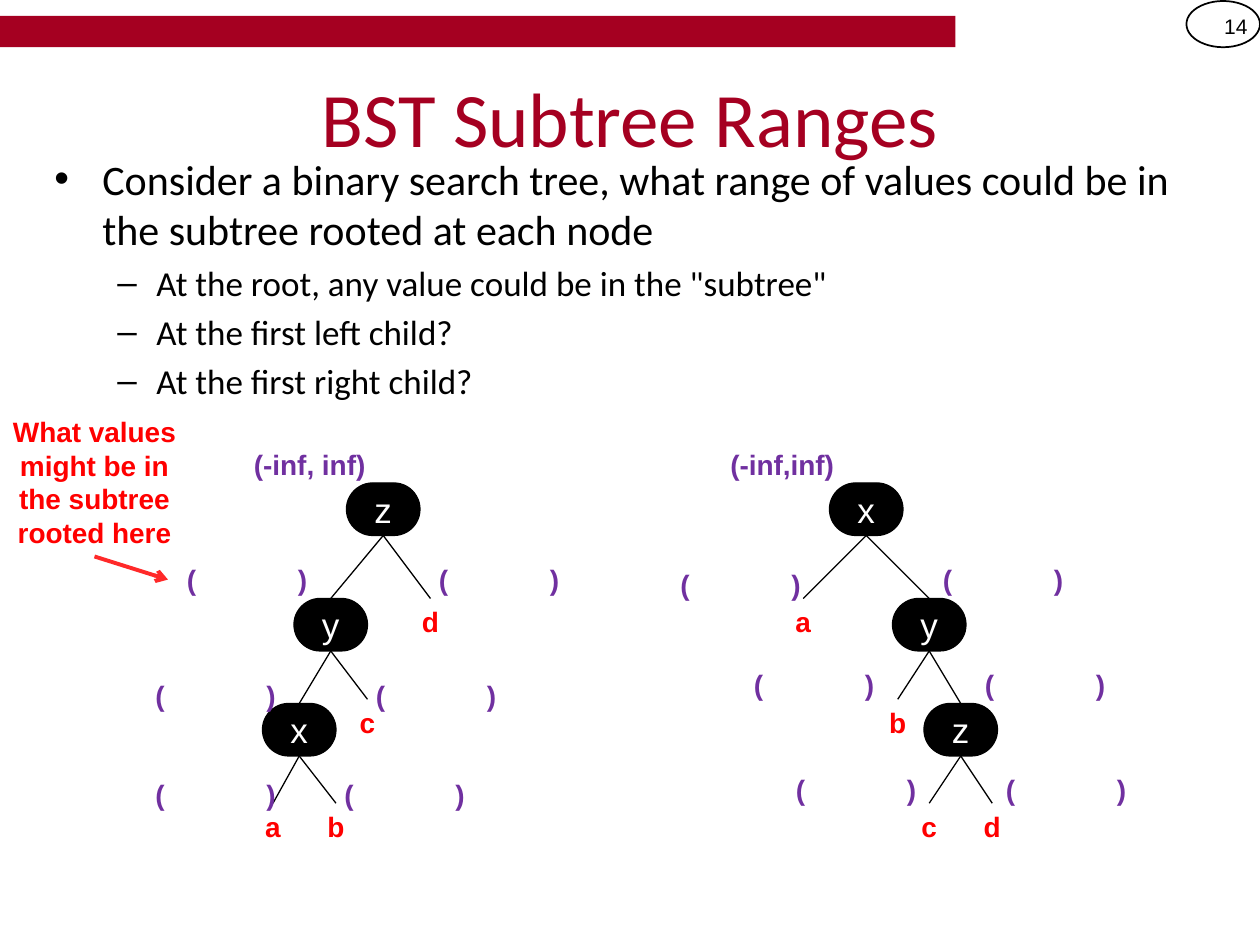
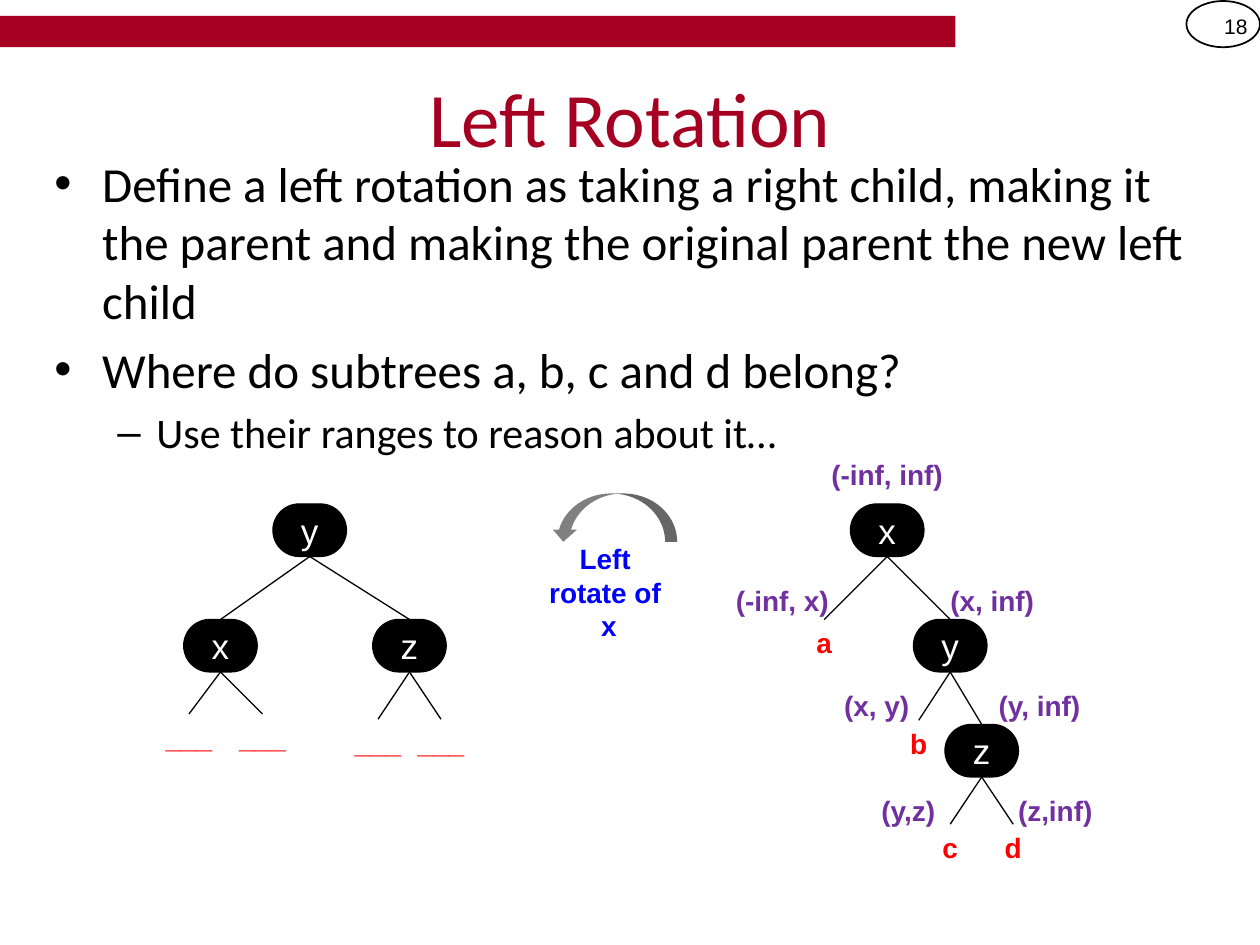
from pptx import Presentation
from pptx import util as u
from pptx.dml.color import RGBColor
from pptx.enum import shapes, text
from pptx.oxml.ns import qn
from lxml import etree

CRIMSON = RGBColor(0xA5, 0x00, 0x21)
BLACK = RGBColor(0, 0, 0)
WHITE = RGBColor(255, 255, 255)
RED = RGBColor(255, 0, 0)
ARROW_RED = RGBColor(0xFF, 0x29, 0x29)
BLUE = RGBColor(0, 0, 255)
PURPLE = RGBColor(0x70, 0x30, 0xA0)
GRAY = RGBColor(0x80, 0x80, 0x80)

# The slide is a grid of 120 columns by 90 rows
COLS, ROWS = 120, 90
SLIDE_W, SLIDE_H = u.Inches(10), u.Inches(7.5)
CELL = SLIDE_W // COLS
NODE_W, NODE_H = 7, 5
RANGE_W, LEAF_W, LABEL_H = 15, 7, 4.4
BLANK = "(\t)"

SHAPE = shapes.MSO_SHAPE
CENTER, RIGHT = text.PP_ALIGN.CENTER, text.PP_ALIGN.RIGHT
LABEL = dict(name="Arial", size=u.Pt(16), bold=True)
BULLETS = {0: ("•", 0.38, -0.38), 1: ("–", 0.81, -0.31)}

# Trees: nodes give (parent, centre column, top row), leaves (parent, centre column, top row)
LEFT_CHAIN = dict(
    nodes={"z": (None, 23.5, 4), "y": ("z", 18.5, 15), "x": ("y", 15.5, 25)},
    leaves=[("z", 28, 15), ("y", 22, 24.6), ("x", 13, 34.5), ("x", 19, 34.5)])
RIGHT_CHAIN = dict(
    nodes={"x": (None, 19.5, 4), "y": ("x", 25.5, 15), "z": ("y", 28.5, 25)},
    leaves=[("x", 13.5, 15), ("y", 22.5, 24.6), ("z", 25.5, 34.5), ("z", 31.5, 34.5)])
BALANCED = dict(
    nodes={"y": (None, 15.5, 4), "x": ("y", 7, 15), "z": ("y", 25, 15)},
    leaves=[("x", 4, 24), ("x", 11, 24), ("z", 22, 24.5), ("z", 28, 24.5)])


def cells(*values):
    return [u.Emu(round(v * CELL)) for v in values]


def set_all(target, formats):
    for key, value in formats.items():
        setattr(target, key, value)


def write(tf, words, color, align=CENTER, **font):
    p = tf.paragraphs[0]
    p.text = words
    p.alignment = align
    for r in p.runs:
        set_all(r.font, font)
        r.font.color.rgb = color


def add_label(s, box, words, color, align=CENTER, **font):
    tf = s.shapes.add_textbox(*cells(*box)).text_frame
    tf.word_wrap = True
    write(tf, words, color, align, **(font or LABEL))
    return tf


def add_shape(s, kind, box, fill=None, line=None, width=0.75):
    sp = s.shapes.add_shape(kind, *cells(*box))
    sp.shadow.inherit = False
    for part, color in ((sp.fill, fill), (sp.line.fill, line)):
        if color is None:
            part.background()
        else:
            part.solid()
            part.fore_color.rgb = color
    if line is not None:
        sp.line.width = u.Pt(width)
    return sp


def add_line(s, start, end, color=BLACK, width=0.75):
    cx = s.shapes.add_connector(shapes.MSO_CONNECTOR.STRAIGHT, *cells(*start, *end))
    cx.line.color.rgb = color
    cx.line.width = u.Pt(width)
    etree.SubElement(cx._element.spPr, qn("a:effectLst"))
    return cx


def add_node(s, center, top, name):
    sp = add_shape(s, SHAPE.ROUNDED_RECTANGLE,
                   (center - NODE_W / 2, top, NODE_W, NODE_H), BLACK, BLACK)
    sp.adjustments[0] = 0.5
    set_all(sp.text_frame, dict(margin_left=0, margin_right=0,
                                vertical_anchor=text.MSO_ANCHOR.MIDDLE))
    write(sp.text_frame, name, WHITE, name="Arial", size=u.Pt(20))
    return sp


def add_range(s, left, top, words):
    """Purple range label; a blank range spreads its brackets with a tab."""
    blank = words == BLANK
    tf = add_label(s, (left, top, RANGE_W, LABEL_H), words, PURPLE,
                   text.PP_ALIGN.LEFT if blank else CENTER)
    if blank:
        tf.margin_left = u.Inches(0.15)
        tabs = etree.SubElement(tf.paragraphs[0]._p.get_or_add_pPr(), qn("a:tabLst"))
        etree.SubElement(tabs, qn("a:tab"), pos=str(u.Inches(0.88)), algn="l")


def add_tree(s, origin, tree, leaf_names, ranges=()):
    """Draw a tree, its leaf subtrees and range labels relative to origin."""
    x0, y0 = origin
    placed = {name: add_node(s, x0 + col, y0 + row, name)
              for name, (_, col, row) in tree["nodes"].items()}
    for name, (parent, col, row) in tree["nodes"].items():
        if parent:
            top = (x0 + col, y0 + row)
            edge = add_line(s, top, top)
            edge.begin_connect(placed[parent], 2)
            edge.end_connect(placed[name], 0)
    for (parent, col, row), name in zip(tree["leaves"], leaf_names):
        top = (x0 + col, y0 + row)
        add_line(s, top, top).begin_connect(placed[parent], 2)
        add_label(s, (top[0] - LEAF_W / 2, top[1], LEAF_W, LABEL_H), name, RED)
    for col, row, words in ranges:
        add_range(s, x0 + col, y0 + row, words)


def add_body(s, box, items):
    """Bulleted text from (level, size, words) items."""
    tf = s.shapes.add_textbox(*cells(*box)).text_frame
    tf.word_wrap = True
    for i, (level, size, words) in enumerate(items):
        p = tf.add_paragraph() if i else tf.paragraphs[0]
        char, margin, indent = BULLETS[level]
        p.level = level
        pPr = p._p.get_or_add_pPr()
        pPr.set("marL", str(u.Inches(margin)))
        pPr.set("indent", str(u.Inches(indent)))
        etree.SubElement(pPr, qn("a:buFont"), typeface="Arial")
        etree.SubElement(pPr, qn("a:buChar"), char=char)
        if i:
            p.space_before = u.Pt(size * 0.2)
        r = p.add_run()
        r.text = words
        set_all(r.font, dict(name="Calibri", size=u.Pt(size)))
        r.font.color.rgb = BLACK


def new_slide(prs, title, number):
    """Title-only slide with the band and the page number oval."""
    s = prs.slides.add_slide(prs.slide_layouts[5])
    add_shape(s, SHAPE.RECTANGLE, (0, 1.5, 91, 3), CRIMSON)
    add_shape(s, SHAPE.OVAL, (113, 0.1, 7, 4.4), line=BLACK, width=1)
    tf = add_label(s, (113, 0.1, 7, 4.8), number, BLACK, RIGHT, name="Arial", size=u.Pt(12))
    tf.vertical_anchor = text.MSO_ANCHOR.MIDDLE
    left, top, width, height = cells(6, 3.6, 108, 15)
    set_all(s.shapes.title, dict(left=left, top=top, width=width, height=height))
    tf = s.shapes.title.text_frame
    set_all(tf, dict(word_wrap=True, auto_size=text.MSO_AUTO_SIZE.NONE,
                     vertical_anchor=text.MSO_ANCHOR.MIDDLE))
    write(tf, title, CRIMSON, name="Calibri", size=u.Pt(44))
    return s


def add_callout(s, left, top):
    add_label(s, (left, top, 18, 14.2),
              "What values might be in the subtree rooted here", RED)
    arrow = add_line(s, (left + 9, top + 14.1), (left + 16, top + 16.3), ARROW_RED, 2.25)
    etree.SubElement(arrow.line._get_or_add_ln(), qn("a:tailEnd"), type="arrow")


def add_rotation_mark(s, left, top):
    arrow = add_shape(s, SHAPE.CURVED_DOWN_ARROW, (left + 2.5, top, 12, 4.6), GRAY)
    arrow._element.spPr.find(qn("a:xfrm")).set("flipH", "1")
    add_label(s, (left, top + 4, 16, 10.9), "Left \vrotate of \vx", BLUE)


def subtree_ranges_slide(prs):
    s = new_slide(prs, "BST Subtree Ranges", "14")
    add_body(s, (4, 14, 112, 32), [
        (0, 24, "Consider a binary search tree, what range of values could be in "
                "the subtree rooted at each node"),
        (1, 20, 'At the root, any value could be in the "subtree"'),
        (1, 20, "At the first left child?"),
        (1, 20, "At the first right child?")])
    left_blanks = [(3, 11), (27, 11), (0, 22), (21, 22), (0, 31.5), (18, 31.5)]
    right_blanks = [(0, 11.5), (25, 11), (7, 21), (29, 21), (11, 31), (31, 31)]
    add_tree(s, (13, 42), LEFT_CHAIN, "dcab",
             [(9, 0, "(-inf, inf)")] + [(*at, BLANK) for at in left_blanks])
    add_tree(s, (63, 42), RIGHT_CHAIN, "abcd",
             [(4, 0, "(-inf,inf)")] + [(*at, BLANK) for at in right_blanks])
    add_callout(s, 0, 38.9)


def left_rotation_slide(prs):
    s = new_slide(prs, "Left Rotation", "18")
    add_body(s, (4, 14, 113, 19), [
        (0, 28, "Define a left rotation as taking a right child, making it the parent "
                "and making the original parent the new left child"),
        (0, 28, "Where do subtrees a, b, c and d belong?"),
        (1, 24, "Use their ranges to reason about it…")])
    add_rotation_mark(s, 50, 47)
    add_tree(s, (14, 44), BALANCED, ["___"] * 4)
    add_tree(s, (65, 44), RIGHT_CHAIN, "abcd", [
        (12, -1, "(-inf, inf)"),
        (2, 11, "(-inf, x)"), (22, 11, "(x, inf)"),
        (11, 21, "(x, y)"), (26.5, 21, "(y, inf)"),
        (14, 31, "(y,z)"), (28, 31, "(z,inf)")])


def main():
    prs = Presentation()
    prs.slide_width, prs.slide_height = SLIDE_W, SLIDE_H
    subtree_ranges_slide(prs)
    left_rotation_slide(prs)
    prs.save("out.pptx")


if __name__ == "__main__":
    main()
